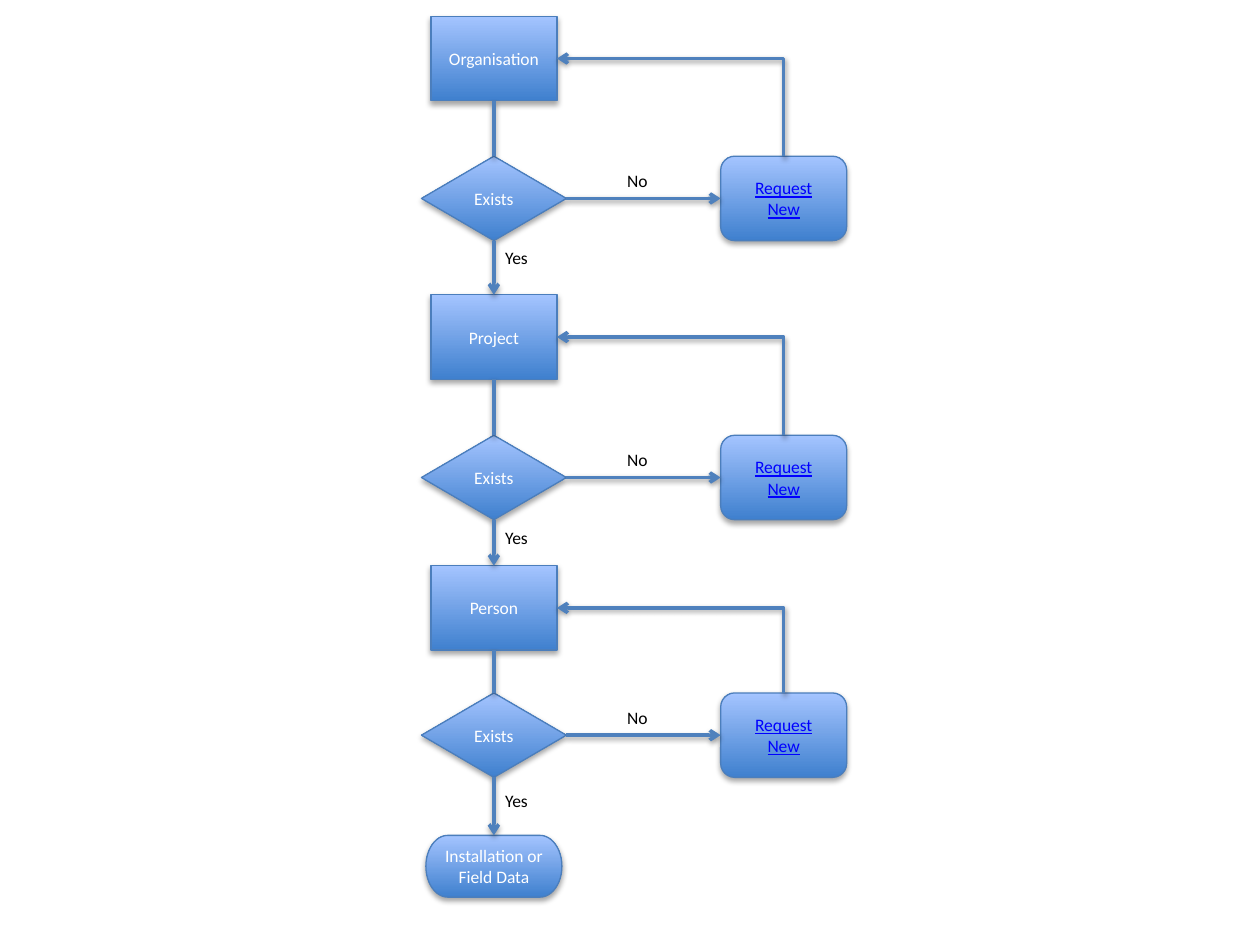
from pptx import Presentation, util as u
from pptx.dml.color import RGBColor
from pptx.enum import shapes as s, text as t
from pptx.oxml import parse_xml
from pptx.oxml.ns import qn

NS = 'xmlns:a="http://schemas.openxmlformats.org/drawingml/2006/main"'
TOP, LEFT, LOW, RIGHT = range(4)
MID, SIDE = 3.92, 6.22
BOX, GEM, END = (1, 0.67), (1.15, 0.67), (1.08, 0.49)
STEPS = [
    ("Organisation", 0.13, 1.24, 1.91),
    ("Project", 2.34, 3.455, 4.13),
    ("Person", 4.49, 5.5, 6.22),
]
LAST = ("Installation or Field Data", 6.63)

prs = Presentation()
prs.slide_width, prs.slide_height = u.Inches(10), u.Inches(7.5)
slide = prs.slides.add_slide(prs.slide_layouts[6])
kinds = s.MSO_SHAPE


def color(code):
    return RGBColor.from_string(code)


def shade(item, dist, alpha):
    item._element.spPr.append(parse_xml(
        f'<a:effectLst {NS}><a:outerShdw blurRad="40000" dist="{dist}" '
        f'dir="5400000" rotWithShape="0"><a:srgbClr val="000000">'
        f'<a:alpha val="{alpha}000"/></a:srgbClr></a:outerShdw></a:effectLst>'))


def write(item, words, code):
    item.text_frame.text = words
    para = item.text_frame.paragraphs[0]
    font = para.runs[0].font
    font.name, font.size = "Calibri", u.Pt(10)
    font.color.rgb = color(code)
    return para


def node(kind, words, mid, top, size, code="FFFFFF"):
    wide, high = size
    item = slide.shapes.add_shape(
        kind, u.Inches(mid - wide / 2), u.Inches(top), u.Inches(wide), u.Inches(high))
    item.fill.gradient()
    item.fill.gradient_angle = 90
    for stop, tone in zip(item.fill.gradient_stops, ("3F80CE", "A4C4FF")):
        stop.color.rgb = color(tone)
    item.line.color.rgb = color("4B7EBC")
    item.line.width = u.Pt(0.75)
    shade(item, 23000, 35)
    item.text_frame.vertical_anchor = t.MSO_ANCHOR.MIDDLE
    write(item, words, code).alignment = t.PP_ALIGN.CENTER
    return item


def label(words, left, top, wide):
    item = slide.shapes.add_textbox(
        u.Inches(left), u.Inches(top), u.Inches(wide), u.Inches(0.27))
    item.text_frame.word_wrap = False
    write(item, words, "000000")


def link(start, out, stop, into, head=True):
    line = slide.shapes.add_connector(s.MSO_CONNECTOR.STRAIGHT, 0, 0, 0, 0)
    line.begin_connect(start, out)
    line.end_connect(stop, into)
    line.line.color.rgb = color("4F81BD")
    line.line.width = u.Pt(2)
    if head:
        line.line._get_or_add_ln().append(parse_xml(f'<a:tailEnd {NS} type="arrow"/>'))
    shade(line, 20000, 38)
    return line


def bend(line):
    run, rise = line.width, line.height
    midx, midy = line.left + run // 2, line.top + rise // 2
    line.left, line.top = midx - rise // 2, midy - run // 2
    line.width, line.height = rise, run
    form = line._element.spPr
    form.find(qn("a:prstGeom")).set("prst", "bentConnector2")
    frame = form.find(qn("a:xfrm"))
    frame.attrib.clear()
    frame.set("rot", "16200000")
    frame.set("flipV", "1")


boxes = [node(kinds.FLOWCHART_PROCESS, name, MID, top, BOX) for name, top, _, _ in STEPS]
boxes.append(node(kinds.FLOWCHART_TERMINATOR, LAST[0], MID, LAST[1], END))

for (_, _, top, yes), box, after in zip(STEPS, boxes, boxes[1:]):
    gem = node(kinds.FLOWCHART_DECISION, "Exists", MID, top, GEM)
    ask = node(kinds.FLOWCHART_ALTERNATE_PROCESS, "Request New", SIDE, top, BOX, "0000FF")
    ask.text_frame.paragraphs[0].runs[0].font.underline = True
    link(box, LOW, gem, TOP, False)
    link(gem, LOW, after, TOP)
    link(gem, RIGHT, ask, LEFT)
    bend(link(ask, TOP, box, RIGHT))
    label("No", 4.88, top + 0.06, 0.37)
    label("Yes", 3.91, yes, 0.38)

prs.save("out.pptx")
